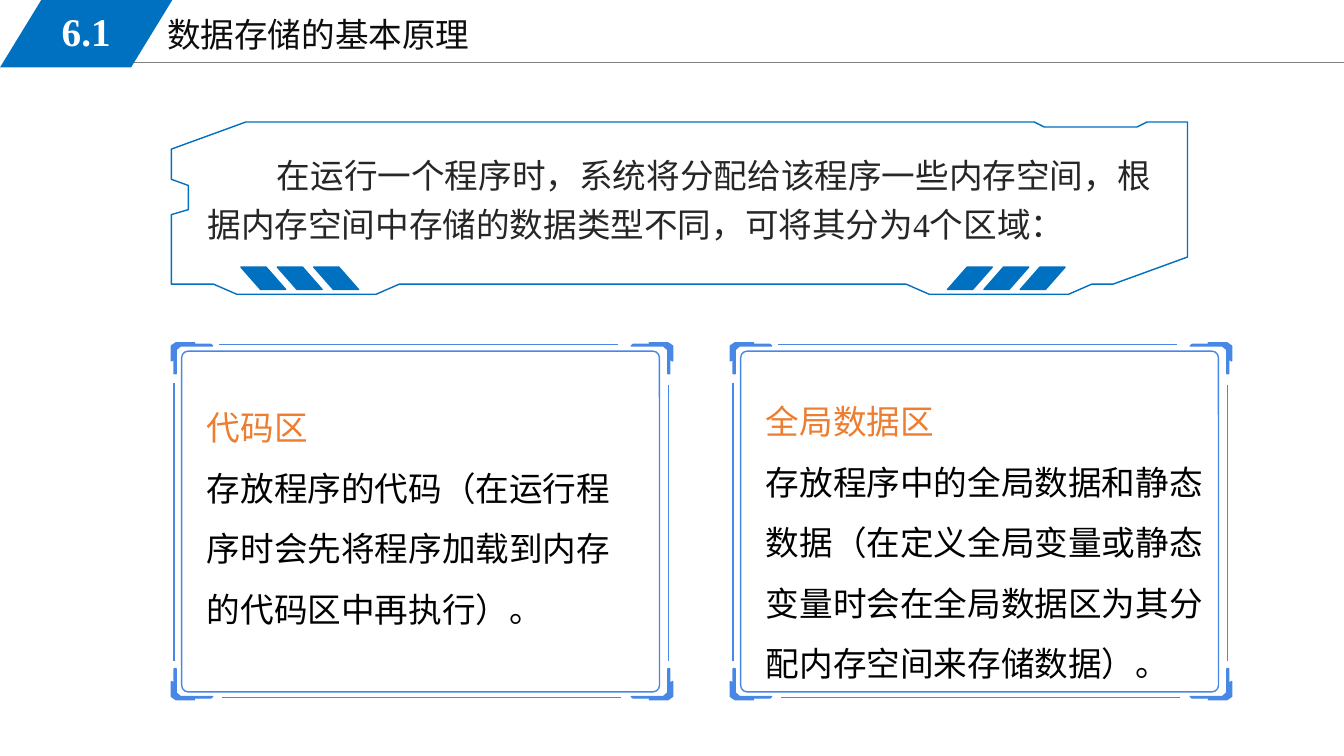
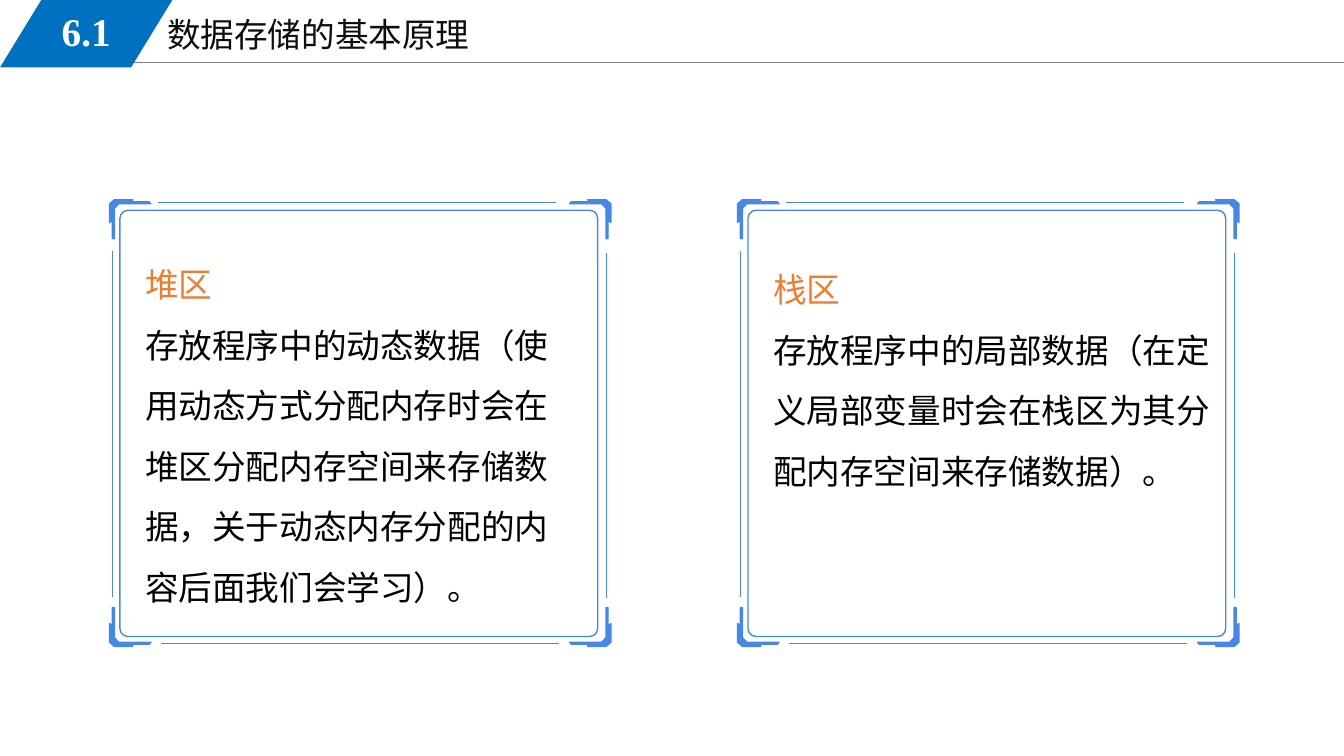
from lxml import etree
from pptx import Presentation
from pptx.dml.color import RGBColor
from pptx.enum import shapes, text
from pptx.oxml import ns
from pptx.util import Pt

FONT = "Times New Roman"
BLUE, FRAME_BLUE, ORANGE = "0070C0", "4788E6", "ED7D31"
GREY, TITLE_INK, BODY_INK, BLACK, WHITE = "808080", "0D0D0D", "262626", "000000", "FFFFFF"

SLIDE_W, SLIDE_H = 960, 540
FRAME_W, FRAME_H = 358, 255
CORNER = [(3.4, 0), (16.6, 0), (15.1, 1.2), (28.2, 1.2), (29.5, 2.3), (6.5, 2.3),
          (3.4, 5), (3.4, 22.2), (2, 22.2), (2, 11.6), (0, 13), (0, 2.3)]
BANNER = [(53.3, 0), (616.3, 0), (623.5, 3.6), (689.8, 3.6), (697, 0), (725.8, 0),
          (725.8, 96.5), (672.5, 115.9), (657.4, 115.9), (640.8, 123.1),
          (541.4, 123.1), (524.9, 115.9), (162.7, 115.9), (146.2, 123.1),
          (46.8, 123.1), (30.2, 115.9), (0, 115.9), (0, 66.2), (12.2, 62.6),
          (12.2, 45.4), (0, 41), (0, 19.4)]


def color(hex_code):
    return RGBColor.from_string(hex_code)


def style(shape, fill=None, line=None):
    shape.shadow.inherit = False
    if fill:
        shape.fill.solid()
        shape.fill.fore_color.rgb = color(fill)
    else:
        shape.fill.background()
    if line:
        shape.line.color.rgb = color(line)
        shape.line.width = Pt(1)
    else:
        shape.line.fill.background()


def add_preset(parent, kind, box, adjust, fill=None, line=None):
    shape = parent.add_shape(kind, *map(Pt, box))
    shape.adjustments[0] = adjust
    style(shape, fill, line)
    return shape


def add_outline(parent, points, fill=None, line=None):
    start, *rest = [(Pt(x), Pt(y)) for x, y in points]
    builder = parent.build_freeform(*start)
    builder.add_line_segments(rest, close=True)
    style(builder.convert_to_shape(), fill, line)


def add_rule(parent, ends, hex_code, width=1):
    rule = parent.add_connector(shapes.MSO_CONNECTOR.STRAIGHT, *map(Pt, ends))
    rule.line.color.rgb = color(hex_code)
    rule.line.width = Pt(width)
    etree.SubElement(rule._element.spPr, ns.qn("a:effectLst"))


def add_text(parent, box, paragraphs, size=24, bold=False, spacing=None, align=None,
             anchor=text.MSO_ANCHOR.TOP):
    frame = parent.add_textbox(*map(Pt, box)).text_frame
    frame.word_wrap = True
    frame.vertical_anchor = anchor
    for index, (wording, ink) in enumerate(paragraphs):
        paragraph = frame.add_paragraph() if index else frame.paragraphs[0]
        paragraph.line_spacing = spacing
        paragraph.alignment = align
        run = paragraph.add_run()
        run.text = wording
        run.font.name = FONT
        run.font.size = Pt(size)
        run.font.bold = bold
        run.font.color.rgb = color(ink)
    return frame


def add_header(parent, number, title):
    add_rule(parent, (81.4, 44.6, SLIDE_W, 44.6), GREY, 0.75)
    add_text(parent, (112.3, 6.5, 408, 36.7), [(title, TITLE_INK)])
    add_preset(parent, shapes.MSO_SHAPE.PARALLELOGRAM, (0, 0, 123.1, 48.2), 0.612, BLUE)
    add_text(parent, (18, 1.4, 87.1, 41.8), [(number, WHITE)], size=28, bold=True,
             align=text.PP_ALIGN.CENTER, anchor=text.MSO_ANCHOR.MIDDLE)


def add_banner(parent, left, top, wording):
    intro = add_text(parent, (left + 18.7, top + 14.4, 696.2, 74.2),
                     [(wording, BODY_INK)], spacing=1.2)
    intro.paragraphs[0]._p.get_or_add_pPr().set("indent", str(Pt(49.7)))
    group = parent.add_group_shape().shapes
    add_outline(group, [(left + x, top + y) for x, y in BANNER], line=BLUE)
    for first_stripe, flipped in ((49.7, True), (554.4, False)):
        for index in range(3):
            box = (left + first_stripe + 26 * index, top + 103.7, 32, 16)
            stripe = add_preset(group, shapes.MSO_SHAPE.PARALLELOGRAM, box, 0.878, BLUE, BLUE)
            if flipped:
                stripe._element.spPr.get_or_add_xfrm().set("flipH", "1")


def add_card(parent, left, top, height, text_top, text_width, heading, body):
    stretch = height / FRAME_H
    right, bottom = left + FRAME_W, top + height
    add_text(parent, (left + 18.3, top + text_top, text_width, height - text_top),
             [(heading, ORANGE), (body, BLACK)], spacing=1.5)
    group = parent.add_group_shape().shapes
    add_preset(group, shapes.MSO_SHAPE.ROUNDED_RECTANGLE,
               (left + 7.4, top + 6 * stretch, 341.3, 243.4 * stretch), 0.019, line=FRAME_BLUE)
    for corner_x, x_sign in ((left, 1), (right, -1)):
        for corner_y, y_sign in ((top, 1), (bottom, -1)):
            add_outline(group, [(corner_x + x_sign * x, corner_y + y_sign * y * stretch)
                                for x, y in CORNER], FRAME_BLUE, FRAME_BLUE)
    for x1, y1, x2, y2 in ((34.4, 1.5, 319, 1.5), (36.5, 253.5, 321, 253.5),
                           (2, 29, 2, 227), (355, 30.3, 355, 227.6)):
        add_rule(group, (left + x1, top + y1 * stretch, left + x2, top + y2 * stretch),
                 FRAME_BLUE)


def add_content_slide(deck, cards, banner=None):
    parent = deck.slides.add_slide(deck.slide_layouts[6]).shapes
    add_header(parent, "6.1", "数据存储的基本原理")
    if banner:
        add_banner(parent, 122.4, 87.1, banner)
    for card in cards:
        add_card(parent, *card)


def main():
    deck = Presentation()
    deck.slide_width, deck.slide_height = Pt(SLIDE_W), Pt(SLIDE_H)
    add_content_slide(deck, [
        (122.4, 244.8, 255, 28.1, 309.6, "代码区",
         "存放程序的代码（在运行程序时会先将程序加载到内存的代码区中再执行）。"),
        (521.7, 244.8, 255, 23.8, 337, "全局数据区",
         "存放程序中的全局数据和静态数据（在定义全局变量或静态变量时会在全局数据区为其分配内存空间来存储数据）。"),
    ], banner="在运行一个程序时，系统将分配给该程序一些内存空间，根据内存空间中存储的数据类型不同，可将其分为4个区域：")
    add_content_slide(deck, [
        (78.3, 142.7, 319, 28, 309.6, "堆区",
         "存放程序中的动态数据（使用动态方式分配内存时会在堆区分配内存空间来存储数据，关于动态内存分配的内容后面我们会学习）。"),
        (526.9, 142.7, 319, 31.7, 329, "栈区",
         "存放程序中的局部数据（在定义局部变量时会在栈区为其分配内存空间来存储数据）。"),
    ])
    deck.save("out.pptx")


if __name__ == "__main__":
    main()
